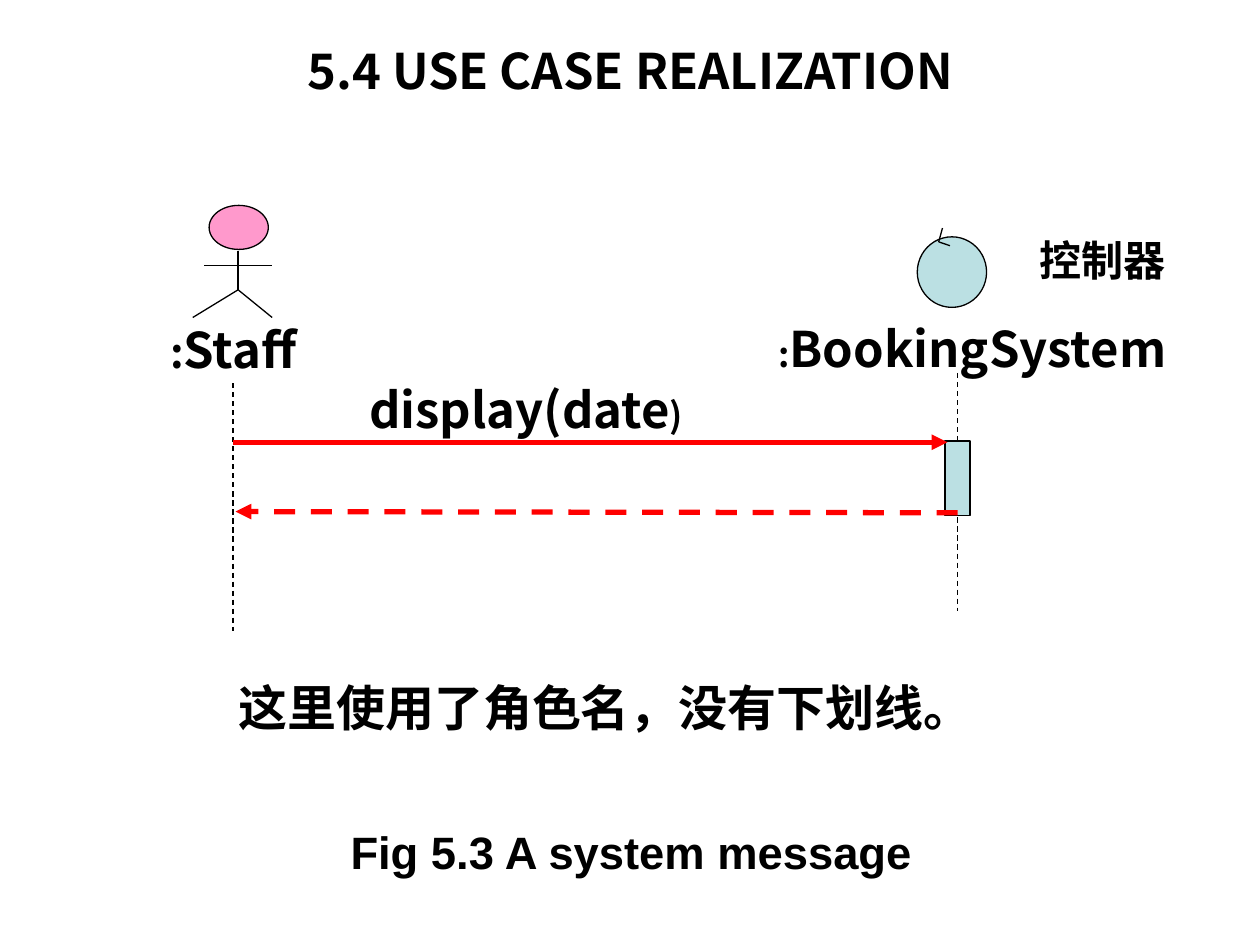
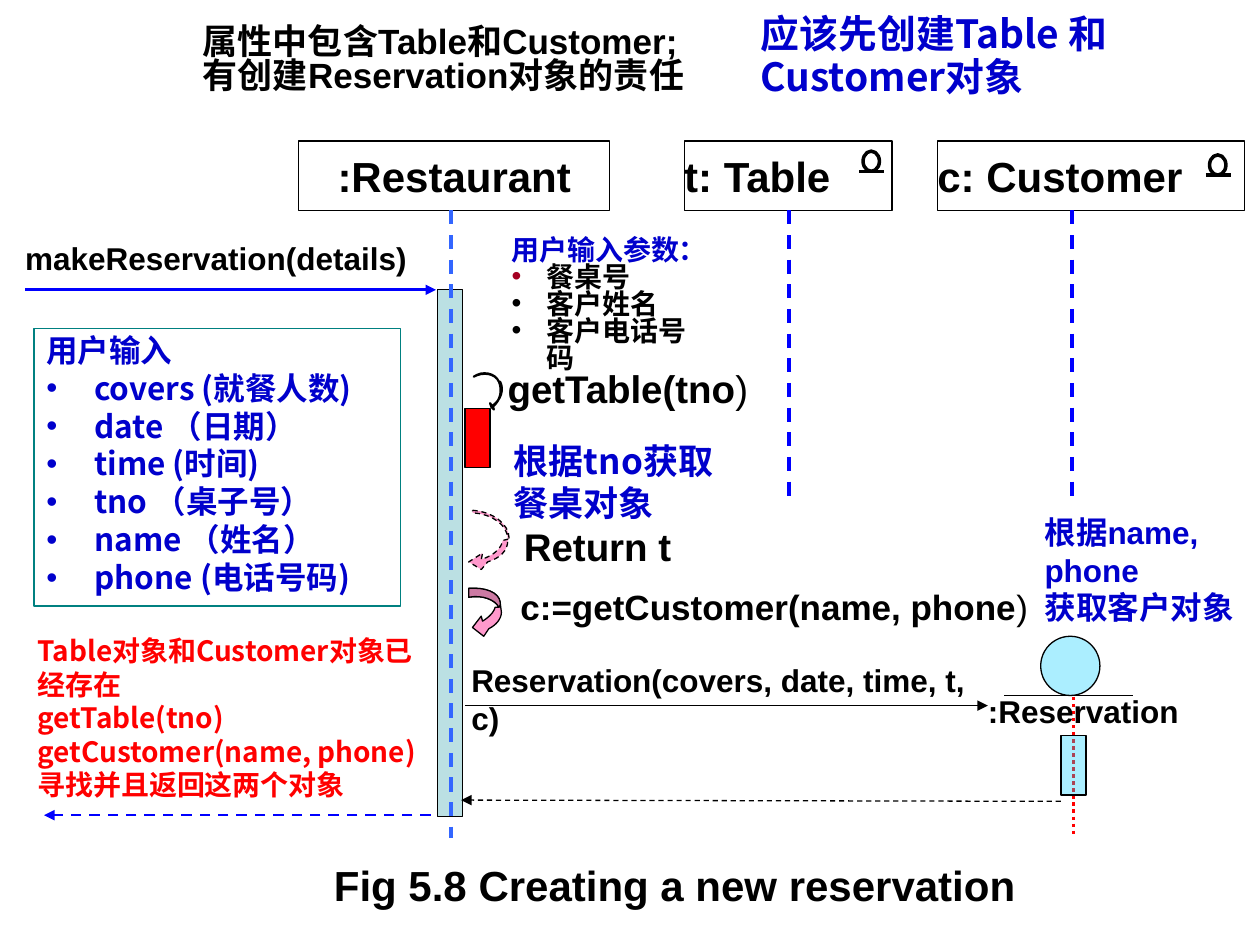
from lxml.etree import SubElement
from pptx import Presentation
from pptx.dml.color import RGBColor
from pptx.enum.dml import MSO_LINE
from pptx.enum.shapes import MSO_CONNECTOR, MSO_SHAPE
from pptx.enum.text import MSO_ANCHOR, PP_ALIGN
from pptx.oxml.ns import qn
from pptx.util import Inches, Pt

BLACK = RGBColor(0x00, 0x00, 0x00)
WHITE = RGBColor(0xFF, 0xFF, 0xFF)
RED = RGBColor(0xFF, 0x00, 0x00)
BLUE = RGBColor(0x00, 0x00, 0xFF)
NAVY = RGBColor(0x00, 0x00, 0xCC)
SKY_BLUE = RGBColor(0x33, 0x66, 0xFF)
CYAN = RGBColor(0x00, 0xCC, 0xFF)
PALE_TEAL = RGBColor(0xBB, 0xE0, 0xE3)
TEAL = RGBColor(0x00, 0x80, 0x80)
PINK = RGBColor(0xFF, 0x99, 0xCC)
DARK_PINK = RGBColor(0xCC, 0x7A, 0xA3)
CRIMSON = RGBColor(0xA5, 0x00, 0x21)

SANS = "Arial"
CJK = "Noto Sans CJK SC"
LINE = MSO_CONNECTOR.STRAIGHT
OVAL = MSO_SHAPE.OVAL
RECT = MSO_SHAPE.RECTANGLE
DASH = MSO_LINE.DASH
CENTER = PP_ALIGN.CENTER
MIDDLE = MSO_ANCHOR.MIDDLE

deck = Presentation()
deck.slide_width, deck.slide_height = Inches(10), Inches(7.5)
CELL = deck.slide_width // 100


def draw(slide, kind, box, fill=None, alpha=None, color=BLACK, width=0.75, dash=None, arrow=False):
    if kind == "outline":
        corners = [(round(x * CELL), round(y * CELL)) for x, y in box]
        builder = slide.shapes.build_freeform(*corners[0])
        builder.add_line_segments(corners[1:], close=True)
        item = builder.convert_to_shape()
    else:
        edges = [round(n * CELL) for n in box]
        add = slide.shapes.add_connector if kind is LINE else slide.shapes.add_shape
        item = add(kind, *edges)
    item.line.color.rgb = color
    item.line.width = Pt(width)
    if dash is not None:
        item.line.dash_style = dash
    if kind is LINE:
        SubElement(item.element.spPr, qn("a:effectLst"))
        if arrow:
            SubElement(item.get_or_add_ln(), qn("a:tailEnd"), type="triangle")
        return item
    item.shadow.inherit = False
    if fill is None:
        item.fill.background()
    else:
        item.fill.solid()
        item.fill.fore_color.rgb = fill
        if alpha:
            tint = item.element.spPr.find(qn("a:solidFill"))[0]
            SubElement(tint, qn("a:alpha"), val=str(alpha * 1000))
    return item


def write(slide, box, lines, size=18, face=SANS, color=BLACK, align=PP_ALIGN.LEFT,
          anchor=MSO_ANCHOR.TOP, spacing=None, before=0, inset=(1, 0.5),
          bullets=(), indent=3.8, holder=None):
    holder = holder or slide.shapes.add_textbox(*[round(n * CELL) for n in box])
    frame = holder.text_frame
    frame.word_wrap = True
    frame.vertical_anchor = anchor
    frame.margin_left = frame.margin_right = round(inset[0] * CELL)
    frame.margin_top = frame.margin_bottom = round(inset[1] * CELL)
    for row, line in enumerate(lines):
        paragraph = frame.add_paragraph() if row else frame.paragraphs[0]
        paragraph.alignment = align
        if spacing:
            paragraph.line_spacing = spacing
        if row and before:
            paragraph.space_before = Pt(before)
        if row and bullets:
            layout = paragraph._p.get_or_add_pPr()
            layout.set("marL", str(round(indent * CELL)))
            layout.set("indent", str(-round(indent * CELL)))
            tint = SubElement(layout, qn("a:buClr"))
            SubElement(tint, qn("a:srgbClr"), val=str(bullets[row - 1]))
            SubElement(layout, qn("a:buFont"), typeface=SANS)
            SubElement(layout, qn("a:buChar"), char="•")
        for words, changes in [(line, {})] if isinstance(line, str) else line:
            run = paragraph.add_run()
            run.text = words
            run.font.size = Pt(changes.get("size", size))
            run.font.bold = changes.get("bold", True)
            run.font.color.rgb = changes.get("color", color)
            run.font.name = face
            SubElement(run._r.get_or_add_rPr(), qn("a:ea"), typeface=CJK)


message = deck.slides.add_slide(deck.slide_layouts[6])

draw(message, LINE, (76, 29.6, 76, 48.5), dash=DASH)
write(message, (5.1, 65.8, 90, 4.3), ["Fig 5.3 A system message"], size=25.9,
      align=CENTER, spacing=0.7, inset=(1, 0.8))
write(message, (17.7, 2.1, 64.6, 6.9), ["5.4 USE CASE REALIZATION"], size=28,
      face=CJK, align=CENTER, anchor=MIDDLE)

draw(message, OVAL, (16.6, 16.3, 4.7, 3.5), fill=PINK)
draw(message, OVAL, (72.8, 18.8, 5.5, 5.6), fill=PALE_TEAL)
staff_limbs = [(18.9, 19.9, 18.9, 23), (16.2, 21.1, 21.6, 21.1),
               (18.9, 23, 15.3, 25.2), (18.9, 23, 21.6, 25.2)]
controller_tip = [(74.8, 18.1, 74.5, 19.2), (74.5, 19.2, 75.4, 19.5)]
for stroke in staff_limbs + controller_tip:
    draw(message, LINE, stroke)

draw(message, LINE, (18.5, 30.4, 18.5, 50.1), dash=DASH)
draw(message, RECT, (75, 35, 2, 5.9), fill=PALE_TEAL)
draw(message, LINE, (18.5, 35.1, 75.2, 35.1), color=RED, width=3, arrow=True)
draw(message, LINE, (76, 40.7, 18.7, 40.6), color=RED, width=3, dash=DASH, arrow=True)

for box, pieces in [
    ((11.4, 24.9, 14.2, 5.7), [(":", {"size": 24}), ("Staff", {})]),
    ((60.2, 24.8, 33.9, 5.7), [(":", {"size": 20}), ("BookingSystem", {})]),
    ((27.2, 29.6, 29.1, 5.7), [("display(date", {}), (")", {"size": 20})]),
]:
    write(message, box, [pieces], size=28, face=CJK, align=CENTER)
write(message, (81.5, 18.1, 13.4, 5), ["控制器"], size=24, face=CJK)
write(message, (13.8, 53.8, 68.5, 5.2), ["这里使用了角色名，没有下划线。"], size=28,
      face=CJK, align=CENTER, spacing=0.9)


reservation = deck.slides.add_slide(deck.slide_layouts[6])

write(reservation, (21.6, 68.2, 63.9, 4.3), ["Fig 5.8 Creating a new reservation"], size=24,
      align=CENTER, spacing=0.8, inset=(1, 0.8))

input_box = (2.7, 26.1, 29.1, 22)
input_fields = ["covers (就餐人数)", "date （日期）", "time (时间)",
                "tno （桌子号）", "name （姓名）", "phone (电话号码)"]
write(reservation, input_box, ["用户输入"] + input_fields, face=CJK, color=NAVY,
      spacing=0.9, before=2.2, bullets=[NAVY] * len(input_fields),
      holder=draw(reservation, RECT, input_box, fill=WHITE, alpha=29, color=TEAL))

for left, width, participant, align in [
    (23.7, 24.7, ":Restaurant", CENTER),
    (54.3, 16.5, "t: Table", PP_ALIGN.LEFT),
    (74.4, 24.4, "c: Customer", PP_ALIGN.LEFT),
]:
    head = (left, 11.2, width, 5.5)
    write(reservation, head, [participant], size=24, align=align, anchor=MIDDLE,
          inset=(0, 0.5), holder=draw(reservation, RECT, head, fill=WHITE, alpha=55))

draw(reservation, RECT, (34.7, 23, 2, 41.8), fill=PALE_TEAL)
draw(reservation, RECT, (36.9, 32.4, 2, 4.7), fill=RED)
draw(reservation, LINE, (2, 23, 34.6, 23), color=BLUE, width=1.5, arrow=True)
draw(reservation, LINE, (34.2, 64.7, 3.5, 64.7), color=BLUE, width=1.5, dash=DASH, arrow=True)

curved_arrows = [
    (PINK, 1.25, None, (37.6, 29.9), [
        (38.3, 29.4, 39.3, 29.6, 39.6, 30.3), (39.7, 30.3),
        (40, 30.9, 39.8, 31.7, 39.1, 32.2), (39.2, 32.5), (39, 32.3), (38.9, 32),
        (39.1, 32.3), (39.7, 31.8, 39.9, 31, 39.6, 30.3),
        (39.3, 29.6, 38.3, 29.5, 37.6, 29.9)]),
    (PINK, 0.75, DASH, (37.5, 40.5), [
        (39.1, 40.6, 40.4, 41.6, 40.4, 42.7), (40.3, 42.9),
        (40.3, 43.7, 39.7, 44.3, 38.7, 44.6), (38.2, 45.2), (37.2, 44.6), (38.3, 43.9),
        (38.2, 44.4), (39.2, 44.1, 39.8, 43.5, 39.9, 42.9), (40.3, 42.8),
        (40.3, 41.7, 39.1, 40.8, 37.5, 40.7)]),
    (PINK, 0.75, None, (37.2, 46.7), [
        (38.5, 46.6, 39.6, 47, 39.7, 47.8), (39.8, 48.6),
        (39.8, 49.1, 39.4, 49.6, 38.8, 49.9), (38.4, 50.5), (37.5, 49.8), (38.2, 48.9),
        (38.3, 49.3), (38.8, 49, 39.2, 48.6, 39.3, 48.2), (39.6, 48.2),
        (39.3, 47.6, 38.3, 47.2, 37.2, 47.4)]),
    (DARK_PINK, 0.75, None, (37.2, 46.7), [
        (38.5, 46.6, 39.6, 47, 39.7, 47.8), (39.7, 48), (39.6, 48.2),
        (39.3, 47.6, 38.3, 47.2, 37.2, 47.4)]),
]
STEPS = 8
for fill, width, dash, start, bends in curved_arrows:
    trail = [start]
    for bend in bends:
        if len(bend) == 2:
            trail.append(bend)
            continue
        x0, y0 = trail[-1]
        x1, y1, x2, y2, x3, y3 = bend
        for step in range(1, STEPS + 1):
            t = step / STEPS
            u = 1 - t
            a, b, c, d = u ** 3, 3 * u * u * t, 3 * u * t * t, t ** 3
            trail.append((a * x0 + b * x1 + c * x2 + d * x3,
                          a * y0 + b * y1 + c * y2 + d * y3))
    draw(reservation, "outline", trail, fill=fill, width=width, dash=dash)

draw(reservation, LINE, (36.9, 56, 78.4, 56), arrow=True)
draw(reservation, LINE, (84.2, 63.6, 36.6, 63.5), dash=DASH, arrow=True)
for x, bottom, color in [(35.8, 66.5, SKY_BLUE), (62.6, 39.5, BLUE), (85.1, 39.5, BLUE)]:
    draw(reservation, LINE, (x, 16.7, x, bottom), color=color, width=2, dash=DASH)

draw(reservation, OVAL, (82.6, 50.5, 4.7, 4.7), fill=CYAN, alpha=33)
draw(reservation, LINE, (79.7, 55.2, 89.9, 55.2))
draw(reservation, LINE, (85.2, 55.3, 85.2, 66.2), color=RED, width=2, dash=MSO_LINE.ROUND_DOT)
draw(reservation, RECT, (84.2, 58.4, 2, 4.7), fill=CYAN, alpha=33)

for left, top in [(68.2, 12), (95.7, 12.3)]:
    draw(reservation, OVAL, (left + 0.3, top, 1.3, 1.6), width=2)
    draw(reservation, LINE, (left, top + 1.6, left + 2, top + 1.6), width=2)

for box, call, size, inset in [
    ((2, 19, 32.3, 3), "makeReservation(details)", 18, (0, 0)),
    ((39.3, 28.5, 21.1, 8.4), [("getTable(tno", {}), (")", {"bold": False})], 22, (1, 0.5)),
    ((40.6, 41, 17.3, 4.7), "Return t", 22, (1, 0.5)),
    ((41.3, 46.5, 48.8, 3.3),
     [("c:=getCustomer(name, phone", {}), (")", {"bold": False})], 20, (0, 0)),
    ((37.4, 52.5, 41.9, 6), "Reservation(covers, date, time, t, c)", 18, (0, 0)),
    ((78.4, 54.9, 17.3, 3), ":Reservation", 18, (0, 0)),
]:
    write(reservation, box, [call], size=size, inset=inset)

write(reservation, (39.8, 34.4, 19.7, 7.7), ["根据tno获取", "餐桌对象"], size=20,
      face=CJK, color=NAVY)
write(reservation, (82.9, 40.7, 16.7, 9), ["根据name,", "phone", "获取客户对象"],
      color=NAVY, inset=(0, 0))
parameters = [[(name, {"color": BLACK})] for name in ("餐桌号", "客户姓名", "客户电话号码")]
write(reservation, (40.6, 19, 15.8, 8.5), ["用户输入参数："] + parameters, size=16, face=CJK,
      color=NAVY, spacing=0.8, inset=(0, 0), bullets=(CRIMSON, BLACK, BLACK), indent=2.8)
write(reservation, (16.1, 2.2, 40.2, 5.3),
      ["属性中包含Table和Customer;", "有创建Reservation对象的责任"],
      size=20, spacing=0.8, inset=(0, 0))
write(reservation, (59.4, 1.3, 33.9, 7.1), ["应该先创建Table 和", "Customer对象"],
      size=22.2, face=CJK, color=NAVY, spacing=0.7, before=6)
write(reservation, (2, 49.8, 32.3, 17),
      ["Table对象和Customer对象已经存在", "getTable(tno)",
       "getCustomer(name, phone)", "寻找并且返回这两个对象"],
      size=16, face=CJK, color=RED)

deck.save("out.pptx")
